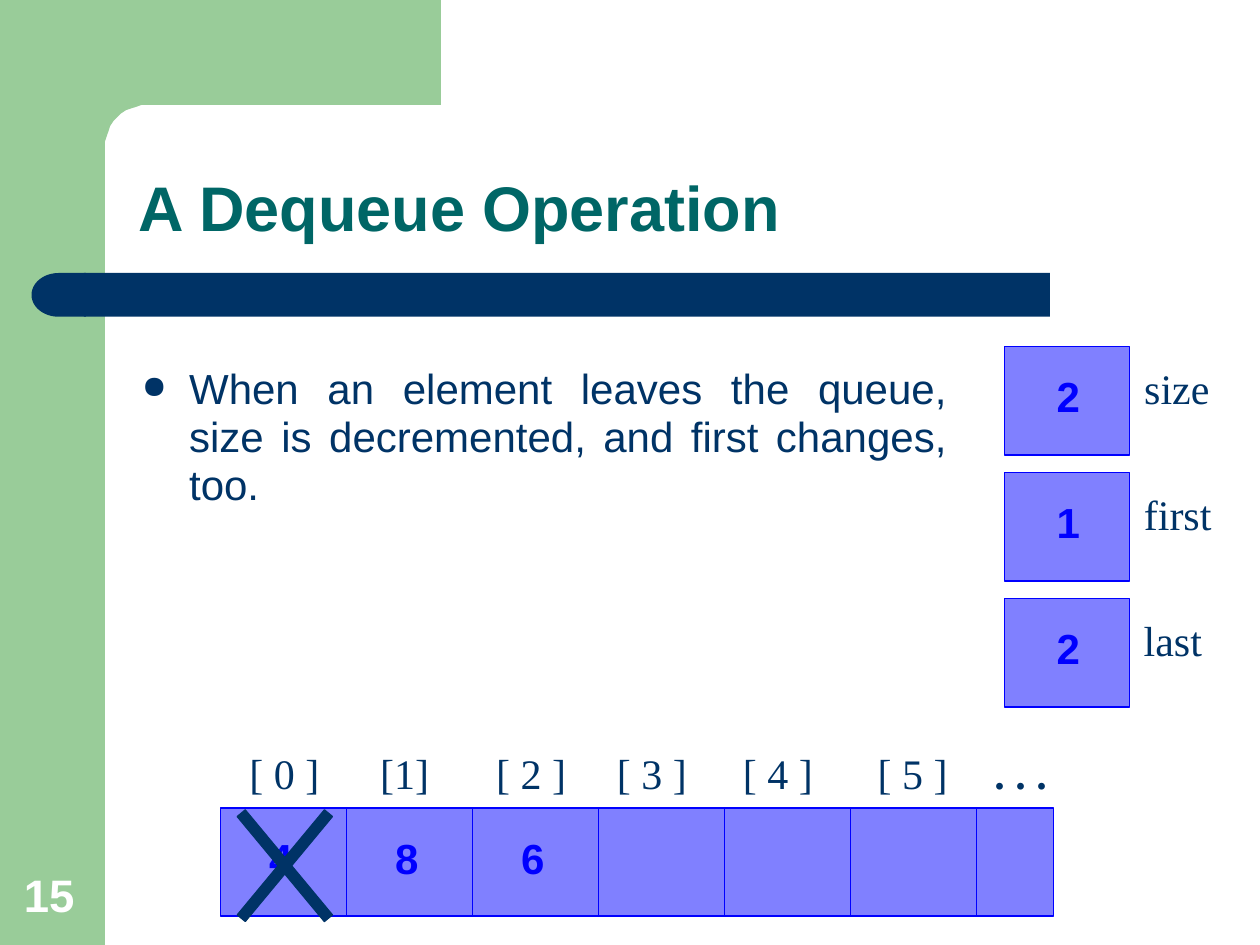
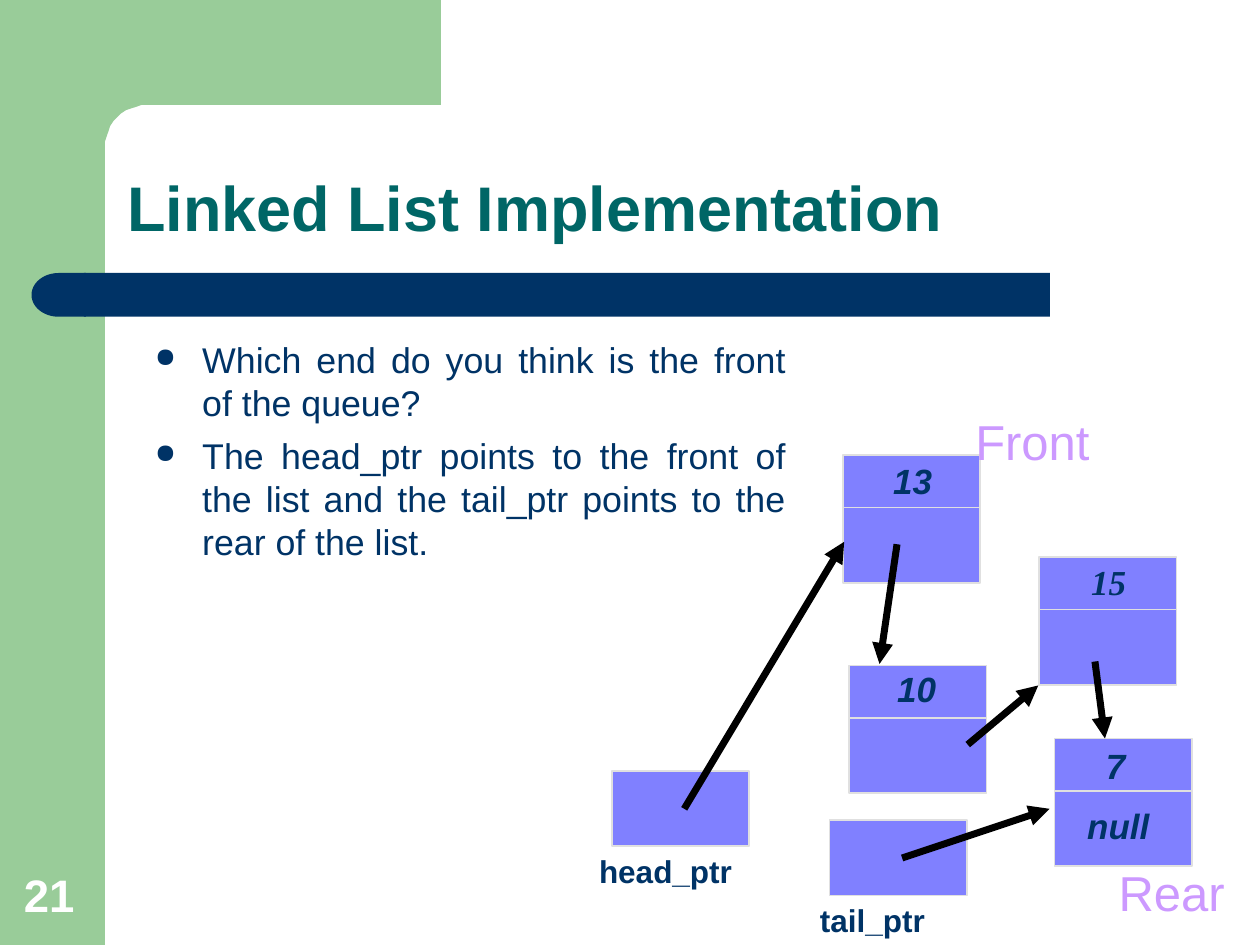
import math

from lxml import etree
from pptx import Presentation
from pptx import util as u
from pptx.dml.color import RGBColor
from pptx.enum import shapes, text
from pptx.oxml import ns

GREEN, NAVY, TEAL = "99CC99", "003366", "006666"
CELL_FILL, CELL_LINE, NODE_LINE = "8080FF", "0000FF", "E0E0E0"
LILAC, WHITE, BLACK = "CC99FF", "FFFFFF", "000000"
SANS, SERIF = "Arial", "Times New Roman"

CELL_HEIGHT = 62
NODE_WIDTH, NODE_HEIGHT, NODE_SPLIT = 78.5, 73, 30
POINTER_HEIGHT = 43


def rgb(colour):
    return RGBColor.from_string(colour)


def points(*lengths):
    return [u.Pt(length) for length in lengths]


def add_xml(parent, tag, **attributes):
    return etree.SubElement(parent, ns.qn(tag), attributes)


def paint(shape, fill, line=None, weight=1):
    shape.shadow.inherit = False
    shape.fill.solid()
    shape.fill.fore_color.rgb = rgb(fill)
    if line:
        shape.line.color.rgb = rgb(line)
        shape.line.width = u.Pt(weight)
    else:
        shape.line.fill.background()


def add_block(slide, left, top, width, height, fill, line=None,
              kind=shapes.MSO_SHAPE.RECTANGLE, rotation=0, weight=1):
    shape = slide.shapes.add_shape(kind, *points(left, top, width, height))
    shape.rotation = rotation
    paint(shape, fill, line, weight)
    return shape


def add_line(slide, start, end, colour, weight=1, arrow=False):
    line = slide.shapes.add_connector(
        shapes.MSO_CONNECTOR.STRAIGHT, *points(*start, *end))
    line.line.color.rgb = rgb(colour)
    line.line.width = u.Pt(weight)
    properties = line._element.spPr
    if arrow:
        add_xml(properties.find(ns.qn("a:ln")), "a:tailEnd", type="triangle")
    add_xml(properties, "a:effectLst")


def add_bullet(paragraph):
    properties = paragraph._p.get_or_add_pPr()
    properties.set("marL", str(u.Pt(27)))
    properties.set("indent", str(-u.Pt(27)))
    add_xml(add_xml(properties, "a:buClr"), "a:srgbClr", val=NAVY)
    add_xml(properties, "a:buSzPct", val="75000")
    add_xml(properties, "a:buChar", char="●")


def write(frame, *lines, size=24, font=SANS, colour=NAVY, bold=False, italic=False,
          align=text.PP_ALIGN.LEFT, anchor=text.MSO_ANCHOR.TOP, wrap=True,
          spacing=None, gap=0, bullets=False):
    frame.word_wrap = wrap
    frame.auto_size = text.MSO_AUTO_SIZE.NONE
    frame.vertical_anchor = anchor
    for index, line in enumerate(lines):
        paragraph = frame.add_paragraph() if index else frame.paragraphs[0]
        if bullets:
            add_bullet(paragraph)
        paragraph.text = line
        paragraph.alignment = align
        paragraph.space_before = u.Pt(gap if index else 0)
        if spacing:
            paragraph.line_spacing = spacing
        paragraph.font.size = u.Pt(size)
        paragraph.font.name = font
        paragraph.font.bold = bold
        paragraph.font.italic = italic
        paragraph.font.color.rgb = rgb(colour)


def add_text(slide, box, *lines, **style):
    write(slide.shapes.add_textbox(*points(*box)).text_frame, *lines, **style)


def add_label(slide, words, left, top, width, height=34, spacing=0.93, **style):
    """Add one centred line that never wraps."""
    add_text(slide, (left, top, width, height), words, wrap=False,
             align=text.PP_ALIGN.CENTER, spacing=spacing, **style)


def add_body(slide, box, *lines, **style):
    add_text(slide, box, *lines, align=text.PP_ALIGN.JUSTIFY, bullets=True, **style)


def add_corner(slide):
    """Add the green top band with its rounded inner corner."""
    centre, radius = 84, 24
    arc = []
    for step in range(13):
        angle = math.radians(90 + step * 7.5)
        arc.append((centre + radius * math.cos(angle),
                    centre - radius * math.sin(angle)))
    builder = slide.shapes.build_freeform(252, 0, scale=u.Pt(1))
    builder.add_line_segments([(252, 60), *arc, (60, 92), (36, 92), (36, 0)])
    paint(builder.convert_to_shape(), GREEN)


def start_slide(presentation, title, title_left, number):
    slide = presentation.slides.add_slide(presentation.slide_layouts[5])
    add_block(slide, 0, 0, 60, 540, GREEN)
    add_corner(slide)
    add_block(slide, 48, 156, 552, 25, NAVY)
    add_block(slide, 18, 156, 31, 25, NAVY,
              kind=shapes.MSO_SHAPE.FLOWCHART_DELAY, rotation=180)
    heading = slide.shapes.title
    heading.left, heading.top, heading.width, heading.height = points(
        title_left, 65.5, 600.5, 78.5)
    write(heading.text_frame, title, size=36, colour=TEAL, bold=True,
          anchor=text.MSO_ANCHOR.BOTTOM, spacing=0.95)
    add_text(slide, (6.5, 492, 46, 38), number, size=26, colour=WHITE, bold=True,
             anchor=text.MSO_ANCHOR.BOTTOM)
    return slide


def add_value(slide, value, left, top):
    add_label(slide, value, left, top, 27, colour=CELL_LINE, bold=True)


def add_variable(slide, name, value, top, label_width):
    add_label(slide, name, 646.5, top + 8, label_width, font=SERIF)
    add_block(slide, 574, top, 71.5, CELL_HEIGHT, CELL_FILL, CELL_LINE)
    add_value(slide, value, 597, top + 13)


def add_array(slide, left, top, values):
    cell = 72
    add_block(slide, left, top, 476, CELL_HEIGHT, CELL_FILL, CELL_LINE)
    for index in range(1, 7):
        x = left + index * cell
        add_line(slide, (x, top), (x, top + CELL_HEIGHT), CELL_LINE)
    labels = [("[ 0 ]", 135.5, 54), ("[1]", 210, 42.5), ("[ 2 ]", 276.5, 54),
              ("[ 3 ]", 345.5, 54), ("[ 4 ]", 417.5, 54), ("[ 5 ]", 494.5, 54),
              (". . .", 561, 44.5)]
    for words, label_left, width in labels:
        add_label(slide, words, label_left, top - 35.5, width, font=SERIF,
                  bold=words == ". . .")
    for index, value in enumerate(values):
        add_value(slide, value, left + 21 + index * cell, top + 13)


def add_cross(slide, centre_x, centre_y):
    width, height = 6, 78
    for rotation in (39.7, -39.7):
        add_block(slide, centre_x - width / 2, centre_y - height / 2, width, height,
                  NAVY, NAVY, rotation=rotation, weight=0.75)


def add_node(slide, left, top, value, value_left, value_top, font=SANS):
    add_block(slide, left, top, NODE_WIDTH, NODE_HEIGHT, CELL_FILL, NODE_LINE)
    split = top + NODE_SPLIT
    add_line(slide, (left, split), (left + NODE_WIDTH, split), NODE_LINE)
    add_label(slide, value, value_left, value_top, 37, 29.5, size=20, font=font,
              bold=True, italic=True)


def add_pointer(slide, left, top, name, label_left, label_width):
    add_block(slide, left, top, NODE_WIDTH, POINTER_HEIGHT, CELL_FILL, NODE_LINE)
    add_label(slide, name, label_left, top + 44.5, label_width, 27, size=18, bold=True)


def build_dequeue(presentation):
    slide = start_slide(presentation, "A Dequeue Operation", 72, "15")
    add_body(slide, (74, 206, 474, 120),
             "When an element leaves the queue, size is decremented, "
             "and first changes, too.", spacing=0.95)
    add_array(slide, 126, 461.5, "486")
    variables = [("size", "2", 52), ("first", "1", 53), ("last", "2", 47.5)]
    for index, (name, value, width) in enumerate(variables):
        add_variable(slide, name, value, 198 + index * 72, width)
    add_cross(slide, 162.8, 494.7)


def build_linked_list(presentation):
    slide = start_slide(presentation, "Linked List Implementation", 65.5, "21")
    add_body(slide, (81.5, 189.5, 374.5, 140.5),
             "Which end do you think is the front of the queue?",
             "The head_ptr points to the front of the list and the tail_ptr "
             "points to the rear of the list.", size=20.4, gap=6)
    add_node(slide, 481.7, 260, "13", 503, 261.3)
    add_node(slide, 485.3, 380.2, "10", 505.3, 380.2)
    add_node(slide, 593.8, 318.3, "15", 615, 319, font=SERIF)
    add_node(slide, 602.5, 422, "7", 619, 424)
    add_label(slide, "null", 614.2, 458.6, 49.7, 29.5, size=20, bold=True, italic=True)
    add_pointer(slide, 349.7, 440.6, "head_ptr", 335, 90.7)
    add_pointer(slide, 474, 468.7, "tail_ptr", 461.5, 74)
    arrows = [((391, 462.2), (482.4, 309.6)), ((512.6, 311), (502.6, 379.4)),
              ((553, 425.5), (593.3, 391.7)), ((625.7, 378), (631.4, 422)),
              ((515.5, 490.3), (599.8, 462.2))]
    for start, end in arrows:
        add_line(slide, start, end, BLACK, weight=4, arrow=True)
    for words, left, top, width in (("Front", 550, 234, 80), ("Rear", 632, 491.8, 75)):
        add_label(slide, words, left, top, width, 39, spacing=0.95, size=28,
                  colour=LILAC)


def main():
    presentation = Presentation()
    presentation.slide_width, presentation.slide_height = points(720, 540)
    build_dequeue(presentation)
    build_linked_list(presentation)
    presentation.save("out.pptx")


if __name__ == "__main__":
    main()
